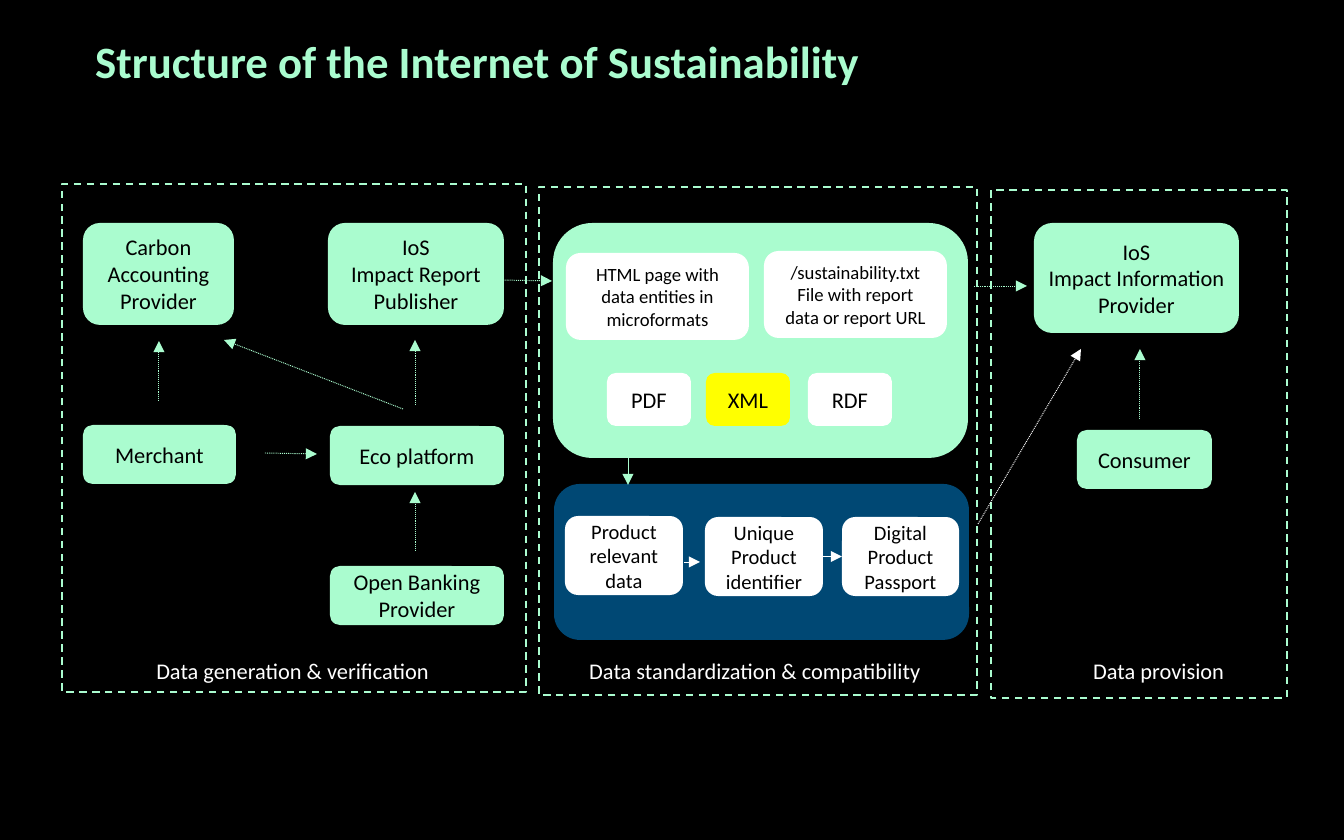
"""Build the slide on the structure of the Internet of Sustainability."""
import pptx
import pptx.util
import pptx.dml.color
import pptx.enum.dml
import pptx.enum.shapes
import pptx.enum.text
import pptx.oxml
import pptx.oxml.ns

PX = 914400 / 134.4
MINT, WHITE, BLACK, YELLOW, NAVY = "AAFCCF", "FFFFFF", "000000", "FFFF00", "004874"
SHAPE = pptx.enum.shapes.MSO_SHAPE
DASH = pptx.enum.dml.MSO_LINE
ALIGN = pptx.enum.text.PP_ALIGN


def px(*values):
    return [pptx.util.Emu(round(v * PX)) for v in values]


def rgb(color):
    return pptx.dml.color.RGBColor.from_string(color)


prs = pptx.Presentation()
prs.slide_width, prs.slide_height = px(1344, 840)
s = prs.slides.add_slide(prs.slide_layouts[6])
s.background.fill.solid()
s.background.fill.fore_color.rgb = rgb(BLACK)

for x, y, w, h in [(62, 184, 464, 508), (539, 187, 438, 508), (991, 190, 296, 508)]:
    sp = s.shapes.add_shape(SHAPE.RECTANGLE, *px(x, y, w, h))
    sp.shadow.inherit = False
    sp.fill.background()
    sp.line.color.rgb = rgb(MINT)
    sp.line.width = pptx.util.Pt(1)
    sp.line.dash_style = DASH.DASH

boxes = [
    (553, 223, 415, 235, MINT, 12, ""),
    (554, 484, 415, 156, NAVY, 12, ""),
    (83, 223, 151, 102, MINT, 12, "Carbon Accounting Provider"),
    (328, 223, 176, 102, MINT, 12, "IoS\vImpact Report Publisher"),
    (83, 425, 153, 59, MINT, 12, "Merchant"),
    (330, 426, 174, 59, MINT, 12, "Eco platform"),
    (330, 566, 174, 59, MINT, 12, "Open Banking Provider"),
    (566, 253, 183, 87, WHITE, 10, "HTML page with data entities in microformats"),
    (764, 251, 183, 87, WHITE, 10, "/sustainability.txt File with report data or report URL"),
    (607, 373, 84, 53, WHITE, 12, "PDF"),
    (706, 373, 84, 53, YELLOW, 12, "XML"),
    (808, 373, 84, 53, WHITE, 12, "RDF"),
    (565, 516, 118, 79, WHITE, 11, "Product relevant data"),
    (705, 517, 118, 79, WHITE, 11, "Unique\nProduct identifier"),
    (842, 517, 117, 79, WHITE, 11, "Digital\nProduct Passport"),
    (1034, 223, 205, 110, MINT, 12, "IoS\vImpact Information Provider"),
    (1077, 430, 135, 59, MINT, 12, "Consumer"),
]
placed = {}
for x, y, w, h, fill, size, text in boxes:
    sp = s.shapes.add_shape(SHAPE.ROUNDED_RECTANGLE, *px(x, y, w, h))
    sp.shadow.inherit = False
    sp.fill.solid()
    sp.fill.fore_color.rgb = rgb(fill)
    sp.line.fill.background()
    if not text:
        continue
    placed[text.split()[0]] = sp
    tf = sp.text_frame
    tf.word_wrap = True
    tf.vertical_anchor = pptx.enum.text.MSO_ANCHOR.MIDDLE
    if "Information" in text:
        tf.margin_left = tf.margin_right = 0
    tf.text = text
    for p in tf.paragraphs:
        p.alignment = ALIGN.CENTER
        p.font.name = "Calibri"
        p.font.size = pptx.util.Pt(size)
        p.font.color.rgb = rgb(BLACK)

arrows = [
    (159, 401, 159, 341, MINT, True),
    (415, 551, 415, 492, MINT, True),
    (415, 405, 415, 340, MINT, True),
    (265, 453, 317, 454, MINT, True),
    (403, 409, 224, 340, MINT, True),
    (499, 280, 552, 281, MINT, True),
    (974, 286, 1027, 286, MINT, True),
    (1140, 419, 1140, 349, MINT, True),
    (978, 524, 1081, 349, WHITE, True),
    (628, 446, 628, 485, MINT, False),
    (684, 562, 700, 562, WHITE, False),
    (823, 557, 842, 557, WHITE, False),
]
for x1, y1, x2, y2, color, dotted in arrows:
    c = s.shapes.add_connector(pptx.enum.shapes.MSO_CONNECTOR.STRAIGHT, *px(x1, y1, x2, y2))
    c.line.color.rgb = rgb(color)
    c.line.width = pptx.util.Pt(0.5)
    if dotted:
        c.line.dash_style = DASH.ROUND_DOT
    tail = pptx.oxml.parse_xml(f'<a:tailEnd {pptx.oxml.ns.nsdecls("a")} type="triangle"/>')
    c.line._get_or_add_ln().append(tail)
    c._element.spPr.append(pptx.oxml.parse_xml(f'<a:effectLst {pptx.oxml.ns.nsdecls("a")}/>'))
c.begin_connect(placed["Unique"], 3)
c.end_connect(placed["Digital"], 1)

labels = [
    (82, 46, 1039, 52, 24, MINT, "Structure of the Internet of Sustainability"),
    (143, 651, 308, 40, 12, WHITE, "Data generation & verification"),
    (576, 651, 362, 40, 12, WHITE, "Data standardization & compatibility"),
    (1080, 651, 160, 40, 12, WHITE, "Data provision"),
]
for x, y, w, h, size, color, text in labels:
    tf = s.shapes.add_textbox(*px(x, y, w, h)).text_frame
    title = size == 24
    tf.word_wrap = title
    p = tf.paragraphs[0]
    p.text = text
    p.font.name = "Calibri"
    p.font.size = pptx.util.Pt(size)
    p.font.bold = title
    p.font.color.rgb = rgb(color)
    if title:
        p.line_spacing = pptx.util.Pt(18.8)

prs.save("out.pptx")
